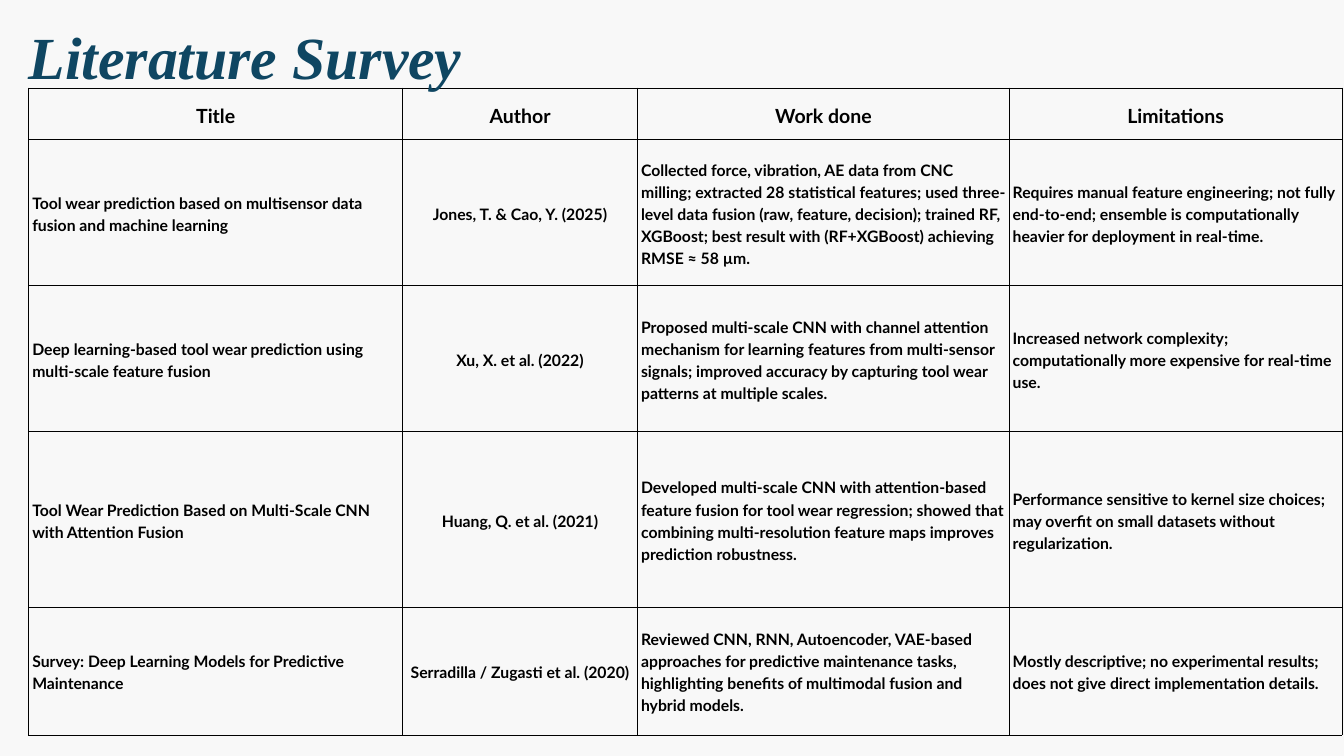
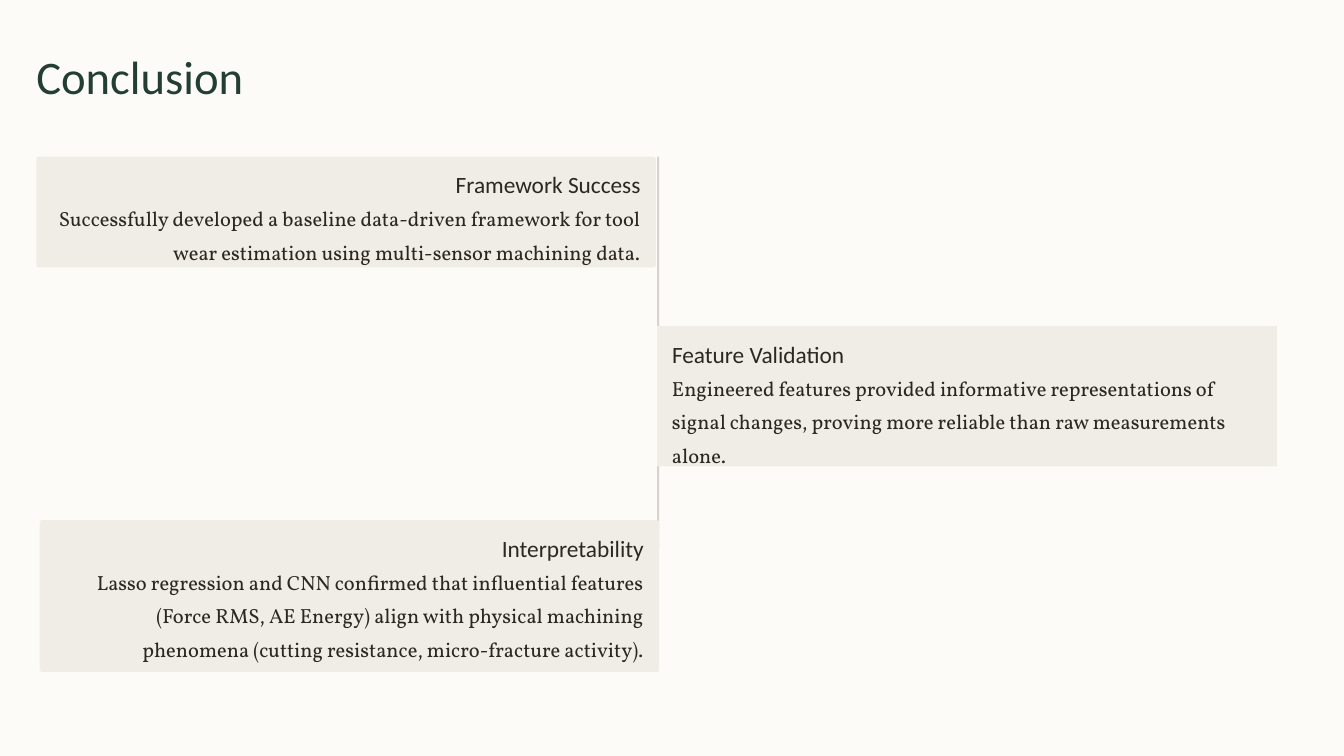
from lxml.etree import SubElement
from pptx import Presentation
from pptx.dml.color import RGBColor
from pptx.enum.shapes import MSO_SHAPE as Preset
from pptx.enum.text import MSO_ANCHOR as Anchor, MSO_AUTO_SIZE as AutoSize, PP_ALIGN as Align
from pptx.oxml.ns import qn
from pptx.util import Inches, Pt

SURVEY_PAPER = "F8F8F8"
CONCLUSION_PAPER = "FCFBF8"
BLACK = "000000"
NAVY = "0F4662"
GREEN = "233E32"
INK = "2C2821"
CARD = "F0EDE6"
SPINE = "D6D3CC"

SURVEY_COLUMNS = [5.56, 3.5, 5.53, 4.95]
SURVEY_ROWS = [0.77, 2.17, 2.17, 2.62, 1.9]
SURVEY = [
    ["Title", "Author", "Work done", "Limitations"],
    ["Tool wear prediction based on multisensor data fusion and machine learning",
     "Jones, T. & Cao, Y. (2025)",
     "Collected force, vibration, AE data from CNC milling; extracted 28 statistical features; "
     "used three-level data fusion (raw, feature, decision); trained RF, XGBoost; "
     "best result with (RF+XGBoost) achieving RMSE ≈ 58 µm.",
     "Requires manual feature engineering; not fully end-to-end; ensemble is computationally "
     "heavier for deployment in real-time."],
    ["Deep learning-based tool wear prediction using multi-scale feature fusion",
     "Xu, X. et al. (2022)",
     "Proposed multi-scale CNN with channel attention mechanism for learning features from "
     "multi-sensor signals; improved accuracy by capturing tool wear patterns at multiple scales.",
     "Increased network complexity; computationally more expensive for real-time use."],
    ["Tool Wear Prediction Based on Multi-Scale CNN with Attention Fusion",
     "Huang, Q. et al. (2021)",
     "Developed multi-scale CNN with attention-based feature fusion for tool wear regression; "
     "showed that combining multi-resolution feature maps improves prediction robustness.",
     "Performance sensitive to kernel size choices; may overfit on small datasets without "
     "regularization."],
    ["Survey: Deep Learning Models for Predictive Maintenance",
     "Serradilla / Zugasti et al. (2020)",
     "Reviewed CNN, RNN, Autoencoder, VAE-based approaches for predictive maintenance tasks, "
     "highlighting benefits of multimodal fusion and hybrid models.",
     "Mostly descriptive; no experimental results; does not give direct implementation details."],
]


def color(hex_text):
    return RGBColor.from_string(hex_text)


def add_slide(presentation, paper):
    slide = presentation.slides.add_slide(presentation.slide_layouts[6])
    fill = slide.background.fill
    fill.solid()
    fill.fore_color.rgb = color(paper)
    return slide


def write(frame, text, font, size, ink, spacing, align=Align.LEFT, bold=False, italic=False):
    frame.word_wrap = True
    paragraph = frame.paragraphs[0]
    paragraph.alignment = align
    paragraph.line_spacing = Pt(spacing)
    run = paragraph.add_run()
    run.text = text
    run.font.name = font
    run.font.size = Pt(size)
    run.font.color.rgb = color(ink)
    run.font.bold = bold
    run.font.italic = italic


def add_text(slide, left, top, width, height, text, *style, **options):
    box = slide.shapes.add_textbox(Inches(left), Inches(top), Inches(width), Inches(height))
    frame = box.text_frame
    frame.margin_left = frame.margin_top = frame.margin_right = frame.margin_bottom = 0
    write(frame, text, *style, **options)
    frame.auto_size = AutoSize.SHAPE_TO_FIT_TEXT


def add_panel(slide, left, top, width, height, fill, radius=0):
    preset = Preset.ROUNDED_RECTANGLE if radius else Preset.RECTANGLE
    shape = slide.shapes.add_shape(preset, Inches(left), Inches(top), Inches(width), Inches(height))
    shape.shadow.inherit = False
    shape.fill.solid()
    shape.fill.fore_color.rgb = color(fill)
    shape.line.fill.background()
    if radius:
        shape.adjustments[0] = radius / min(width, height)


def add_borders(cell, ink, points):
    properties = cell._tc.get_or_add_tcPr()
    for index, side in enumerate(["lnL", "lnR", "lnT", "lnB"]):
        line = properties.makeelement(qn(f"a:{side}"), {"w": str(Pt(points))})
        properties.insert(index, line)
        fill = SubElement(line, qn("a:solidFill"))
        SubElement(fill, qn("a:srgbClr"), {"val": ink})


def add_survey_table(slide, left, top):
    frame = slide.shapes.add_table(len(SURVEY_ROWS), len(SURVEY_COLUMNS), Inches(left), Inches(top),
                                   Inches(sum(SURVEY_COLUMNS)), Inches(sum(SURVEY_ROWS)))
    table = frame.table
    table.first_row = table.horz_banding = False
    for column, width in zip(table.columns, SURVEY_COLUMNS):
        column.width = Inches(width)
    for row, height in zip(table.rows, SURVEY_ROWS):
        row.height = Inches(height)
    for row_index, texts in enumerate(SURVEY):
        heading = row_index == 0
        size, spacing = (20.9, 29.2) if heading else (16.9, 23.6)
        for column_index, text in enumerate(texts):
            cell = table.cell(row_index, column_index)
            cell.vertical_anchor = Anchor.MIDDLE
            cell.margin_left = cell.margin_right = Inches(0.05)
            cell.margin_top = cell.margin_bottom = Inches(0.05)
            cell.fill.background()
            centred = heading or column_index == 1
            write(cell.text_frame, text, "Lato", size, BLACK, spacing,
                  align=Align.CENTER if centred else Align.LEFT, bold=True)
            add_borders(cell, BLACK, 1.03)


def add_card(slide, left, top, height, heading, heading_width, body, body_height,
             align=Align.RIGHT, radius=0.04):
    inset, body_width = 0.22, 8.77
    add_panel(slide, left, top, 9.22, height, CARD, radius)
    heading_left = left + inset
    if align == Align.RIGHT:
        heading_left += body_width - heading_width
    add_text(slide, heading_left, top + 0.19, heading_width, 0.44, heading,
             "Calibri", 25, INK, 31.2, align=align)
    add_text(slide, left + inset, top + 0.61, body_width, body_height, body,
             "Vollkorn", 21.9, INK, 35.9, align=align)


def add_survey_slide(presentation):
    slide = add_slide(presentation, SURVEY_PAPER)
    add_survey_table(slide, 0.43, 1.31)
    add_text(slide, 0.43, 0.12, 8.8, 1.19, "Literature Survey",
             "Times New Roman", 64, NAVY, 89.6, bold=True, italic=True)


def add_conclusion_slide(presentation):
    slide = add_slide(presentation, CONCLUSION_PAPER)
    add_text(slide, 0.54, 0.67, 9.2, 0.87, "Conclusion", "Calibri", 50, GREEN, 62.5)
    add_panel(slide, 9.78, 2.33, 0.03, 5.83, SPINE, radius=0.015)
    add_card(slide, 0.54, 2.33, 1.65, "Framework Success", 4.39,
             "Successfully developed a baseline data-driven framework for tool wear estimation "
             "using multi-sensor machining data.", 0.94)
    add_card(slide, 9.78, 4.85, 2.09, "Feature Validation", 4.79,
             "Engineered features provided informative representations of signal changes, "
             "proving more reliable than raw measurements alone.", 1.43,
             align=Align.LEFT, radius=0)
    add_card(slide, 0.59, 7.74, 2.26, "Interpretability", 2.8,
             "Lasso regression and CNN confirmed that influential features (Force RMS, AE Energy) "
             "align with physical machining phenomena (cutting resistance, micro-fracture activity).",
             1.43)


def main():
    presentation = Presentation()
    presentation.slide_width = Inches(20)
    presentation.slide_height = Inches(11.25)
    add_survey_slide(presentation)
    add_conclusion_slide(presentation)
    presentation.save("out.pptx")


if __name__ == "__main__":
    main()
